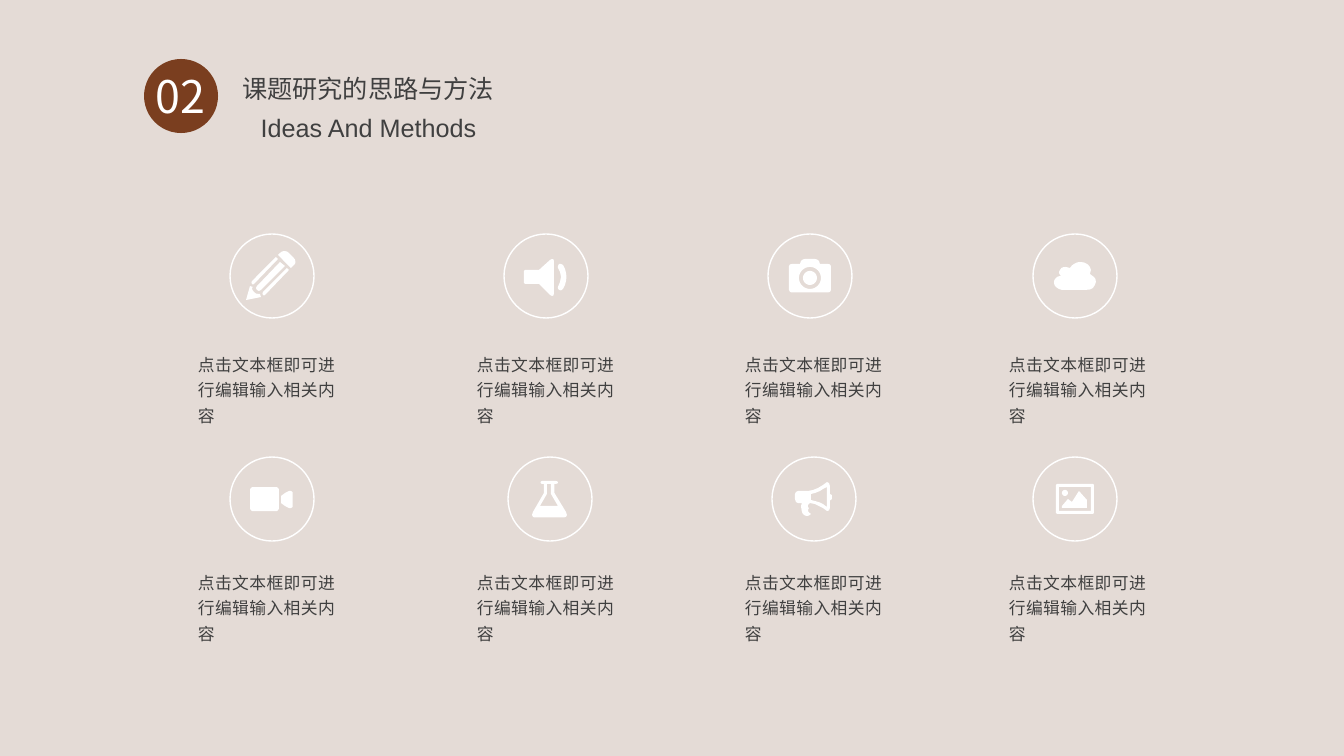
import math

from lxml import etree
from pptx import Presentation
from pptx.dml.color import RGBColor
from pptx.enum.shapes import MSO_SHAPE
from pptx.enum.text import MSO_ANCHOR, MSO_AUTO_SIZE, PP_ALIGN
from pptx.oxml.ns import qn
from pptx.util import Emu, Pt

PX = 914400 / 100.8
OVAL, SNIP = MSO_SHAPE.OVAL, MSO_SHAPE.SNIP_1_RECTANGLE
TOP, MIDDLE = MSO_ANCHOR.TOP, MSO_ANCHOR.MIDDLE
LEFT, CENTER, JUSTIFY = PP_ALIGN.LEFT, PP_ALIGN.CENTER, PP_ALIGN.JUSTIFY
GROW = MSO_AUTO_SIZE.SHAPE_TO_FIT_TEXT
CJK, LATIN = "Noto Sans CJK SC", "Arial"
PAPER, BROWN, WHITE, GREY = "E4DBD6", "7A3E1F", "FFFFFF", "404040"
BODY = "点击文本框即可进行编辑输入相关内容"
DIAMETER = 84


def px(n):
    """Turn pixels into EMU."""
    return Emu(round(n * PX))


def rgb(value):
    """Turn a hex string into a colour."""
    return RGBColor.from_string(value)


def disc(cx, cy, radius, steps=32):
    """Return the points of a round contour."""
    turns = [2 * math.pi * i / steps for i in range(steps)]
    return [(cx + radius * math.cos(t), cy + radius * math.sin(t)) for t in turns]


def box(x1, y1, x2, y2, cut=0):
    """Return the points of a rectangle with cut corners."""
    if not cut:
        return [(x1, y1), (x2, y1), (x2, y2), (x1, y2)]
    return [(x1 + cut, y1), (x2 - cut, y1), (x2, y1 + cut), (x2, y2 - cut),
            (x2 - cut, y2), (x1 + cut, y2), (x1, y2 - cut), (x1, y1 + cut)]


PENCIL = [
    [(63, 32), (61, 34), (48, 21), (50, 19), (52, 17.5), (54.5, 17), (57, 17.5), (59, 19),
     (63, 23), (65, 25.5), (65.5, 28), (65, 30)],
    [(33, 58), (32.5, 59.5), (33, 61), (34, 61.5), (35, 61), (59, 36), (57, 34)],
    [(22, 47), (21.5, 48.5), (22, 50), (23, 50.5), (24, 50), (48, 25), (46, 23)],
    [(50, 28), (27, 52), (26, 54), (27, 56), (29, 57), (31, 56), (55, 32)],
    [(31, 63), (30, 60), (29, 60), (26, 59.5), (24, 58), (22.5, 56), (22, 54), (23, 53),
     (20, 52), (16, 66)],
]
SPEAKER = [
    [(46, 26), (48, 25), (49.5, 25.5), (50, 27), (50, 59), (49.5, 61.5), (48, 62), (46, 61),
     (35, 50), (21, 50), (20, 49), (20, 37), (21, 36), (35, 36)],
    [(55, 30), (57, 30), (59, 31), (61, 35), (62, 39), (62.5, 43), (62, 47), (61, 51),
     (59, 55), (57, 56.5), (55, 56), (54, 54.5), (54, 53), (56, 48), (57, 43), (56, 38),
     (54, 34), (54, 32)],
]
CAMERA = [
    [(60, 30), (62, 30.5), (63, 32), (63, 56), (62, 58), (60, 58.5), (24, 58.5), (22, 58),
     (21, 56), (21, 32), (22, 30.5), (24, 30), (32, 30), (33, 27), (35, 25.5), (37, 25),
     (47, 25), (49, 25.5), (51, 27), (52, 30)],
    disc(42, 44, 11), disc(42, 44, 7),
]
CLOUD = [
    [(57, 40), (61, 43), (62.5, 45), (63, 48), (62, 51), (60, 54), (57, 55.5), (52, 56),
     (29, 56), (26, 55), (23, 53), (21.5, 51), (21, 48), (21.5, 46), (23, 44), (25, 42.5),
     (28, 42), (26.5, 40), (26, 38), (27, 36), (28.5, 34), (30.5, 33.2), (33, 33), (37, 34),
     (39, 31.5), (41, 30), (44, 28.5), (47, 28), (51, 28.5), (55, 30.5), (57, 33), (58, 36)],
]
VIDEO = [
    box(20, 30, 49, 54, 2),
    [(59, 34), (55, 36), (51, 39), (51, 46), (55, 49), (59, 51), (61, 51), (62.5, 50),
     (62.5, 35), (61, 34)],
]
FLASK = [
    [(58, 55), (59, 58), (58, 60), (56, 60.5), (27, 60.5), (25, 60), (24, 58), (25, 55),
     (36, 36), (36, 27), (34, 27), (33, 26.5), (32.5, 25.5), (33, 24.5), (34, 24), (48, 24),
     (49.5, 24.5), (50, 25.5), (49.5, 26.5), (48, 27), (46.5, 27), (46.5, 36)],
    [(32, 49), (50, 49), (43, 37), (43, 27), (39, 27), (39, 37)],
]
MEGAPHONE = [
    [(60, 40), (60, 42), (58, 43.5), (58, 51), (57, 53.5), (55, 54), (51, 51), (47, 49),
     (43, 47), (38, 46), (37, 47), (36, 48), (36, 50), (37, 51), (36, 53), (36.5, 55),
     (39, 57), (37, 58.5), (35, 59), (33, 58.5), (31, 57), (30, 55), (29.5, 52), (29, 49),
     (30, 46), (26, 46), (24, 45), (23, 42), (23, 37), (24, 35), (26, 34), (36, 34),
     (41, 33), (46, 31), (51, 28), (55, 25), (57, 26), (58, 29), (58, 37), (60, 38)],
    [(55, 30), (51, 32), (48, 34), (43, 36), (39, 37), (39, 43), (43, 44), (48, 45.5),
     (51, 47), (55, 50)],
]
PHOTO = [
    box(23, 27, 61, 57, 1), box(26, 30, 58, 54), disc(32, 36, 3),
    [(29, 51), (29, 49), (35, 42), (39, 45), (46, 34), (54, 43), (54, 51)],
]
ROWS = [
    (234, 345, [(230, PENCIL), (504, SPEAKER), (768, CAMERA), (1033, CLOUD)]),
    (457, 563, [(230, VIDEO), (508, FLASK), (772, MEGAPHONE), (1033, PHOTO)]),
]
TEXT_LEFTS = [188, 467, 735, 999]


def write(sp, text, size, font, color, align, spacing=1, wrap=True, anchor=TOP):
    """Put one formatted run in a shape."""
    tf = sp.text_frame
    tf.word_wrap = wrap
    tf.auto_size = GROW
    tf.vertical_anchor = anchor
    p = tf.paragraphs[0]
    p.alignment = align
    p.line_spacing = spacing
    r = p.add_run()
    r.text = text
    r.font.size = Pt(size)
    r.font.name = font
    r.font.color.rgb = rgb(color)
    etree.SubElement(r.font._element, qn("a:ea"), typeface=font)


def add_text(s, x, y, w, h, *args, **kwargs):
    """Add a text box."""
    sp = s.shapes.add_textbox(px(x), px(y), px(w), px(h))
    write(sp, *args, **kwargs)


def add_preset(s, kind, x, y, w, h, fill=None, line=None):
    """Add a preset shape with an optional fill and outline."""
    sp = s.shapes.add_shape(kind, px(x), px(y), px(w), px(h))
    sp.shadow.inherit = False
    sp.fill.background()
    sp.line.fill.background()
    if fill:
        sp.fill.solid()
        sp.fill.fore_color.rgb = rgb(fill)
    if line:
        sp.line.color.rgb = rgb(line)
        sp.line.width = Pt(1)
    return sp


def add_icon(s, x, y, contours):
    """Add a white icon drawn from contours inside its ring."""
    placed = [[(px(x + dx), px(y + dy)) for dx, dy in c] for c in contours]
    builder = s.shapes.build_freeform(*placed[0][0])
    for i, points in enumerate(placed):
        if i:
            builder.move_to(*points[0])
        builder.add_line_segments(points[1:], close=True)
    sp = builder.convert_to_shape()
    sp.shadow.inherit = False
    sp.fill.solid()
    sp.fill.fore_color.rgb = rgb(WHITE)
    sp.line.fill.background()


def add_heading(s):
    """Add the section number, title and subtitle."""
    add_preset(s, OVAL, 144, 59, 74, 74, fill=BROWN)
    add_text(s, 132, 64, 97, 65, "02", 32, CJK, WHITE, CENTER)
    title = s.shapes.title
    title.left, title.top, title.width, title.height = map(px, (232, 38, 275, 62))
    write(title, "课题研究的思路与方法", 18, CJK, GREY, LEFT, spacing=2, wrap=False)
    subtitle = add_preset(s, SNIP, 92, 107, 553, 40)
    subtitle.adjustments[0] = 0
    write(subtitle, "Ideas And Methods", 18, LATIN, GREY, CENTER, anchor=MIDDLE)


def main():
    """Build the slide and save it."""
    prs = Presentation()
    prs.slide_width, prs.slide_height = px(1344), px(756)
    s = prs.slides.add_slide(prs.slide_layouts[5])
    s.background.fill.solid()
    s.background.fill.fore_color.rgb = rgb(PAPER)
    add_heading(s)
    for ring_top, text_top, icons in ROWS:
        for text_left, (ring_left, contours) in zip(TEXT_LEFTS, icons):
            add_icon(s, ring_left, ring_top, contours)
            add_preset(s, OVAL, ring_left, ring_top, DIAMETER, DIAMETER, line=WHITE)
            add_text(s, text_left, text_top, 157, 87, BODY, 12, CJK, GREY, JUSTIFY, spacing=1.25)
    prs.save("out.pptx")


if __name__ == "__main__":
    main()
